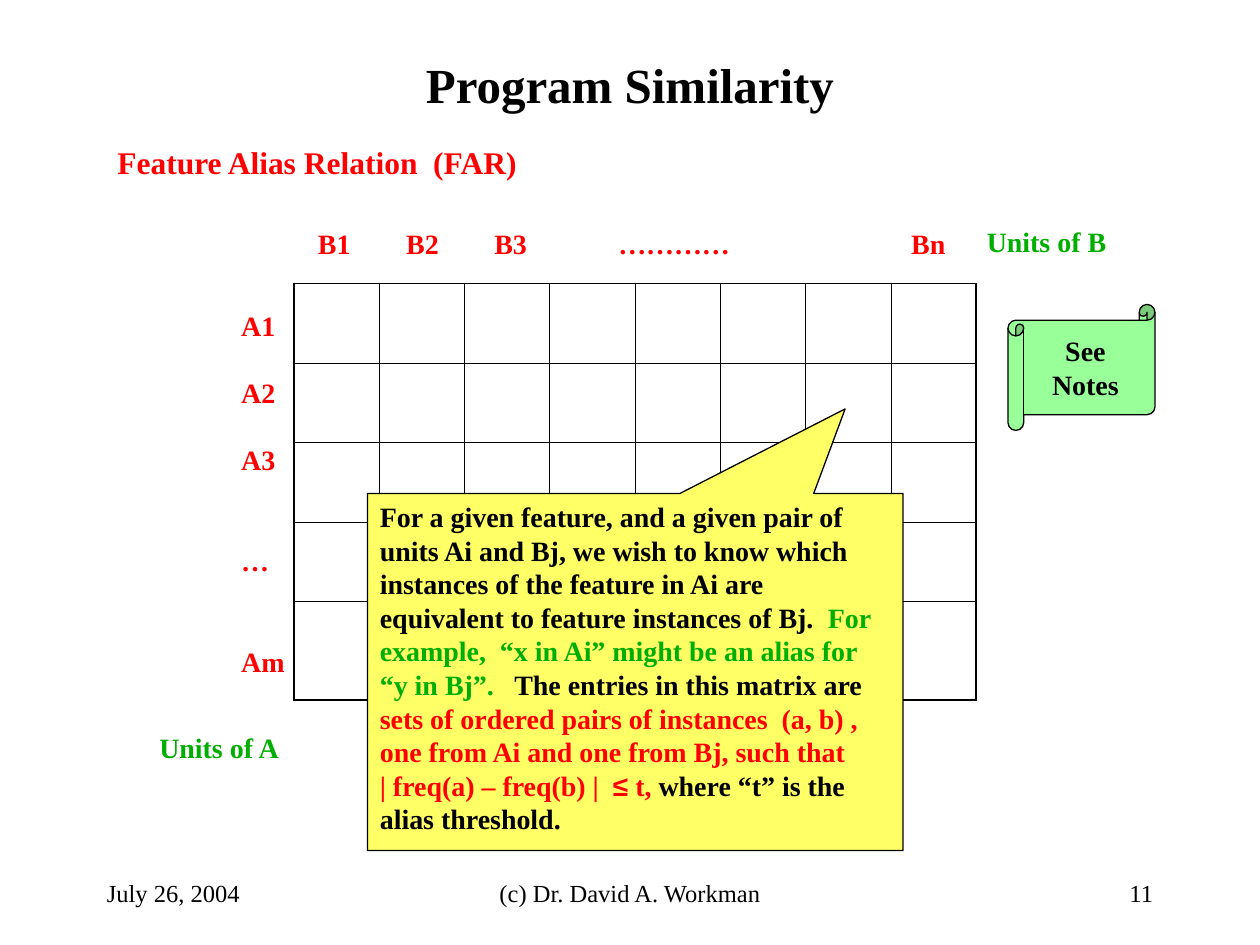
from lxml import etree
from pptx import Presentation
from pptx import util as u
from pptx.dml.color import RGBColor
from pptx.enum import shapes, text
from pptx.oxml import ns

BLACK = RGBColor(0x00, 0x00, 0x00)
RED = RGBColor(0xFF, 0x00, 0x00)
GREEN = RGBColor(0x00, 0xAE, 0x00)
YELLOW = RGBColor(0xFF, 0xFF, 0x66)
MINT = RGBColor(0x99, 0xFF, 0x99)
SERIF = "Times New Roman"
COLUMNS, ROWS = 120, 90
CELL = u.Inches(10) / COLUMNS
LABEL_SIZE = 16
LINE = 1.2 * LABEL_SIZE
LEFT, CENTER, RIGHT = text.PP_ALIGN.LEFT, text.PP_ALIGN.CENTER, text.PP_ALIGN.RIGHT
TOP, MIDDLE = text.MSO_ANCHOR.TOP, text.MSO_ANCHOR.MIDDLE


def grid(*lengths):
    return [u.Emu(round(length * CELL)) for length in lengths]


def style(para, size=LABEL_SIZE, color=BLACK, bold=True, align=LEFT):
    para.alignment = align
    para.font.name = SERIF
    para.font.size = u.Pt(size)
    para.font.bold = bold
    para.font.color.rgb = color
    if size == LABEL_SIZE:
        para.line_spacing = u.Pt(LINE)


def add_text(page, box, words, wrap=False, anchor=TOP, **look):
    frame = page.shapes.add_textbox(*grid(*box)).text_frame
    frame.word_wrap = wrap
    frame.vertical_anchor = anchor
    frame.text = words
    for para in frame.paragraphs:
        style(para, **look)
    return frame


def add_panel(page, box, kind, fill, adjustments):
    panel = page.shapes.add_shape(kind, *grid(*box))
    panel.shadow.inherit = False
    panel.fill.solid()
    panel.fill.fore_color.rgb = fill
    panel.line.color.rgb = BLACK
    panel.line.width = u.Pt(0.75)
    for index, value in enumerate(adjustments):
        panel.adjustments[index] = value
    return panel.text_frame


def add_border(cell, side, points):
    line = etree.SubElement(cell._tc.get_or_add_tcPr(), ns.qn(f"a:ln{side}"), w=str(u.Pt(points)))
    fill = etree.SubElement(line, ns.qn("a:solidFill"))
    etree.SubElement(fill, ns.qn("a:srgbClr"), val=str(BLACK))


def add_matrix(page, box, row_heights, column_count):
    last_row, last_column = len(row_heights) - 1, column_count - 1
    table = page.shapes.add_table(len(row_heights), column_count, *grid(*box)).table
    table.first_row = table.horz_banding = False
    for column in table.columns:
        column.width = grid(box[2] / column_count)[0]
    for row, height in zip(table.rows, row_heights):
        row.height = grid(height)[0]
    for r in range(last_row + 1):
        for c in range(last_column + 1):
            cell = table.cell(r, c)
            outer = {"L": c == 0, "R": c == last_column, "T": r == 0, "B": r == last_row}
            for side, is_outer in outer.items():
                add_border(cell, side, 1.08 if is_outer else 0.45)
            cell.fill.background()


def add_column_labels(page, box, labels, stops):
    frame = page.shapes.add_textbox(*grid(*box)).text_frame
    frame.word_wrap = True
    para = frame.paragraphs[0]
    para.text = "\t".join(labels)
    tabs = etree.SubElement(para._p.get_or_add_pPr(), ns.qn("a:tabLst"))
    for stop in grid(*stops):
        etree.SubElement(tabs, ns.qn("a:tab"), pos=str(stop), algn="l")
    style(para, color=RED)


def add_row_labels(page, box, labels, gaps):
    frame = add_text(page, box, "\n".join(labels), wrap=True, color=RED)
    for para, gap in zip(frame.paragraphs[1:], gaps):
        para.space_before = u.Pt(gap * LINE)


def add_callout(page, box, spans):
    frame = add_panel(page, box, shapes.MSO_SHAPE.RECTANGULAR_CALLOUT, YELLOW, (0.392, -0.737))
    frame.word_wrap = True
    frame.vertical_anchor = TOP
    para = frame.paragraphs[0]
    style(para)
    for words, color, font in spans:
        for index, part in enumerate(words.split("\n")):
            if index:
                para.add_line_break()
            span = para.add_run()
            span.text = part
            span.font.color.rgb = color
            span.font.name = font


def add_scroll(page, box, words):
    frame = add_panel(page, box, shapes.MSO_SHAPE.HORIZONTAL_SCROLL, MINT, (0.125,))
    frame.word_wrap = False
    frame.vertical_anchor = MIDDLE
    frame.text = words
    for para in frame.paragraphs:
        style(para, align=CENTER)


def add_footer(page, top, height):
    parts = [
        (9, 25, "July 26, 2004", LEFT),
        (41, 38, "(c) Dr. David A. Workman", CENTER),
        (86, 25, "11", RIGHT),
    ]
    for left, width, words, align in parts:
        add_text(page, (left, top, width, height), words, wrap=True, anchor=MIDDLE,
                 size=14, bold=False, align=align)


def main():
    deck = Presentation()
    deck.slide_width, deck.slide_height = grid(COLUMNS, ROWS)
    page = deck.slides.add_slide(deck.slide_layouts[6])
    add_text(page, (9, 4, 102, 8), "Program Similarity", wrap=True, anchor=MIDDLE,
             size=28, align=CENTER)
    add_matrix(page, (28, 27, 65, 39.7), [7.58] * 4 + [9.38], 8)
    add_column_labels(page, (29.1, 21, 63, 4.4), ["B1", "B2", "B3", "…………", "Bn"],
                      [8.4, 16.8, 28.6, 56.5])
    add_row_labels(page, (21.8, 28.8, 7.2, 36.4), ["A1", "A2", "A3", "…", "Am"], [1, 1, 2, 2])
    add_text(page, (92.8, 20.8, 13.8, 4.4), "Units of B", color=GREEN)
    add_text(page, (14, 69, 13.9, 4.4), "Units of A", color=GREEN)
    add_callout(page, (35, 47, 51, 34), [
        ("For a given feature, and a given pair of units Ai and Bj, we wish to know which "
         "instances of the feature in Ai are equivalent to feature instances of Bj.  ", BLACK, SERIF),
        ("For example,  “x in Ai” might be an alias for “y in Bj”.", GREEN, SERIF),
        ("   The entries in this matrix are ", BLACK, SERIF),
        ("sets of ordered pairs of instances  (a, b) , one from Ai and one from Bj, such that \n"
         "| freq(a) – freq(b) |  ", RED, SERIF),
        ("≤", RED, "Arial"),
        (" t,", RED, SERIF),
        (" where “t” is the alias threshold.", BLACK, SERIF),
    ])
    add_text(page, (10, 13, 41.6, 4.8), "Feature Alias Relation  (FAR)", size=18, color=RED)
    add_scroll(page, (96, 29, 14, 12), "See\nNotes")
    add_footer(page, 82, 6)
    deck.save("out.pptx")


if __name__ == "__main__":
    main()
